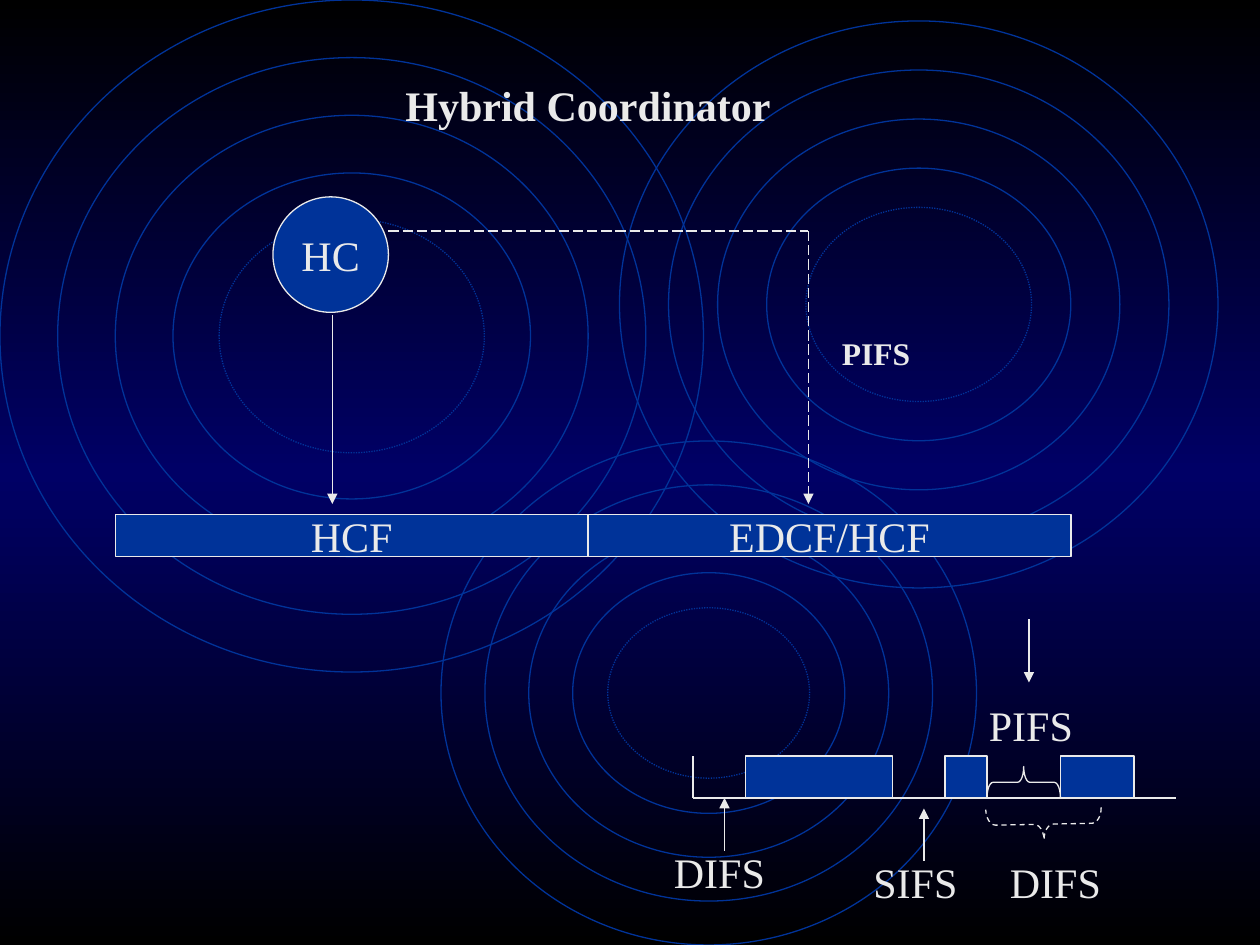
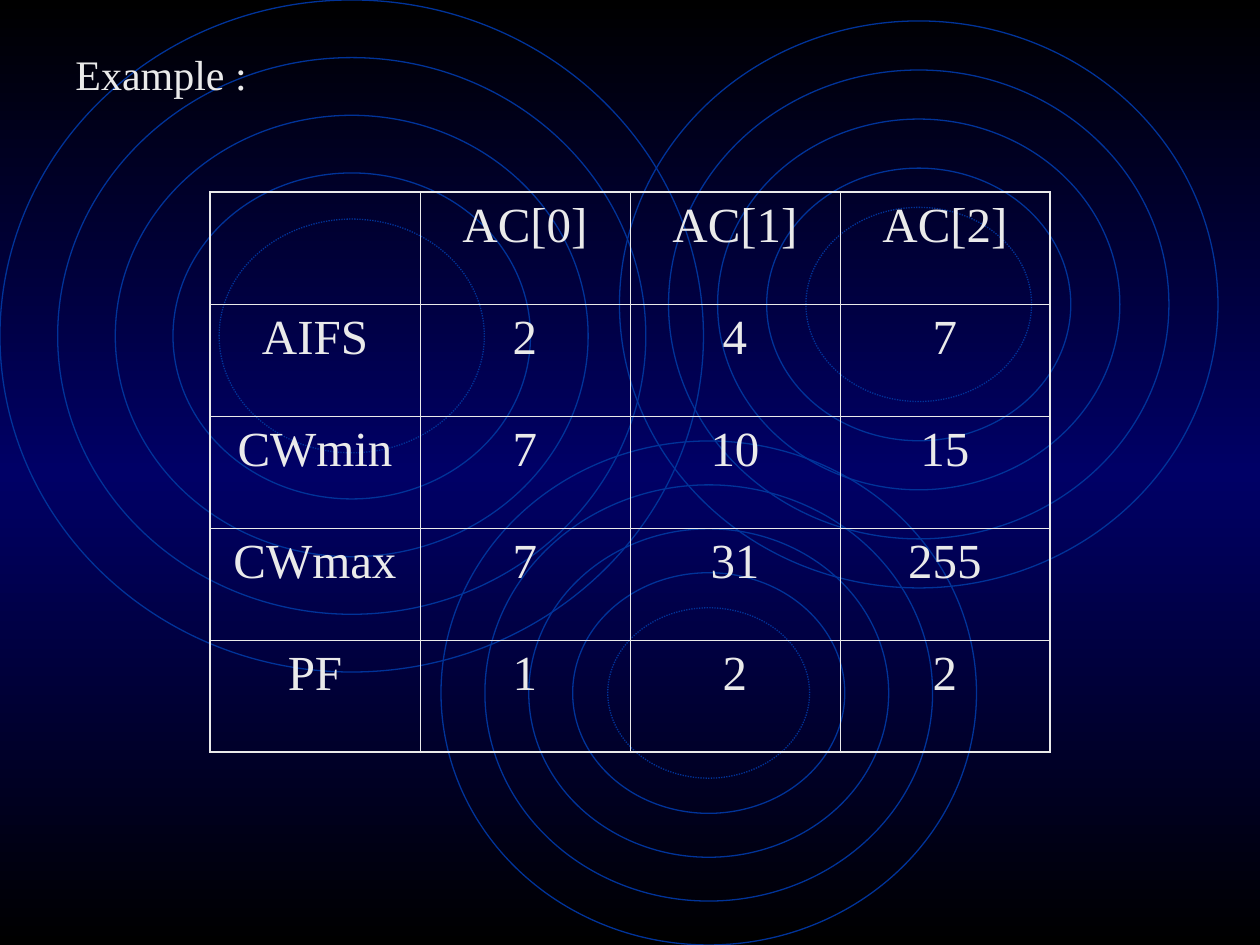
"""Build two slides on the hybrid coordinator: a timing sketch and a table of values."""
from copy import deepcopy

from pptx import Presentation
from pptx.dml.color import RGBColor
from pptx.enum.dml import MSO_LINE
from pptx.enum.shapes import MSO_CONNECTOR, MSO_SHAPE
from pptx.enum.text import MSO_ANCHOR, PP_ALIGN
from pptx.oxml.ns import qn
from pptx.util import Inches, Pt

RECT, OVAL, BRACE = MSO_SHAPE.RECTANGLE, MSO_SHAPE.OVAL, MSO_SHAPE.RIGHT_BRACE
DOT, DASH, LONG = MSO_LINE.ROUND_DOT, MSO_LINE.DASH, MSO_LINE.LONG_DASH
LEFT, MID = PP_ALIGN.LEFT, PP_ALIGN.CENTER
STRAIGHT, CENTRE = MSO_CONNECTOR.STRAIGHT, MSO_ANCHOR.MIDDLE

COLS, ROWS, CELL = 120, 90, 1 / 12
FONT = "Times New Roman"
HUES = {"ink": "EAEAEA", "blue": "003399", "edge": "000000", "glow": "000066"}
FADE = [(0, "edge"), (0.5, "glow"), (1, "edge")]

RIPPLES = [(0, 0, 67, 64), (42, 42, 51, 48), (59, 2, 57, 54)]
STEPS = [(0, None), (1, None), (2, None), (3, None), (3.8, DOT)]

BLOCKS = [
    (RECT, (11, 49, 45, 4), "HCF"),
    (RECT, (56, 49, 46, 4), "EDCF/HCF"),
    (OVAL, (26, 18.75, 11, 11), "HC"),
    (RECT, (71, 72, 14, 4), ""),
    (RECT, (90, 72, 4, 4), ""),
    (RECT, (101, 72, 7, 4), ""),
]
LINES = [
    ((31.65, 30), (31.65, 48), None, True),
    ((37, 22), (77, 22), LONG, False),
    ((77, 22), (77, 48), LONG, True),
    ((66, 76), (112, 76), None, False),
    ((66, 76), (66, 72), None, False),
    ((69, 81), (69, 76), None, True),
    ((88, 82), (88, 77), None, True),
    ((98, 59), (98, 65), None, True),
]
BRACES = [((97.9, 73, 3, 11), 88.9, DASH), ((96, 71, 3, 7), 270, None)]
LABELS = [
    ("Hybrid Coordinator", (6, 7, 100, 6), 24, True, MID),
    ("PIFS", (79, 31.2, 14, 4.8), 18, True, LEFT),
    ("DIFS", (63, 80, 14, 6), 24, False, LEFT),
    ("SIFS", (82, 81, 14, 6), 24, False, LEFT),
    ("DIFS", (95, 81, 14, 6), 24, False, LEFT),
    ("PIFS", (93, 66, 13, 6), 24, False, LEFT),
]
EXAMPLE = ("Example :", (6, 4, 33, 6), 24, False, LEFT)
GRID = (20, 18.3, 80, 53.35)
VALUES = [
    ["", "AC[0]", "AC[1]", "AC[2]"],
    ["AIFS", "2", "4", "7"],
    ["CWmin", "7", "10", "15"],
    ["CWmax", "7", "31", "255"],
    ["PF", "1", "2", "2"],
]


def hue(name):
    return RGBColor.from_string(HUES[name])


def span(*units):
    return [Inches(unit * CELL) for unit in units]


def stroke(line, name, dash=None):
    line.color.rgb = hue(name)
    line.width = Pt(0.75)
    if dash is not None:
        line.dash_style = dash


def write(frame, text, size, bold=False, align=MID):
    para = frame.paragraphs[0]
    para.text, para.alignment = text, align
    font = para.font
    font.name, font.size, font.bold = FONT, Pt(size), bold
    font.color.rgb = hue("ink")


def draw(slide, kind, box, edge="ink", dash=None, fill=None):
    shape = slide.shapes.add_shape(kind, *span(*box))
    shape.shadow.inherit = False
    if fill:
        shape.fill.solid()
        shape.fill.fore_color.rgb = hue(fill)
    else:
        shape.fill.background()
    stroke(shape.line, edge, dash)
    return shape


def link(slide, start, end, dash, arrow):
    wire = slide.shapes.add_connector(STRAIGHT, *span(*start, *end))
    stroke(wire.line, "ink", dash)
    props = wire._element.spPr
    if arrow:
        tip = props.find(qn("a:ln"))
        tip.append(tip.makeelement(qn("a:tailEnd"), {"type": "triangle"}))
    props.append(props.makeelement(qn("a:effectLst"), {}))


def label(slide, text, box, size, bold, align):
    frame = slide.shapes.add_textbox(*span(*box)).text_frame
    frame.word_wrap = True
    write(frame, text, size, bold, align)


def dress(master, slide):
    fill = master.background.fill
    fill.gradient()
    fill.gradient_angle = 270
    stops = master._element.find(".//" + qn("a:gsLst"))
    stops.append(deepcopy(stops[0]))
    for stop, (place, name) in zip(fill.gradient_stops, FADE):
        stop.position, stop.color.rgb = place, hue(name)
    tree = master.shapes._spTree
    for left, top, wide, high in RIPPLES:
        for step, dash in STEPS:
            gap = step * wide / 12.2
            box = (left + gap, top + gap, wide - 2 * gap, high - 2 * gap)
            ring = draw(slide, OVAL, box, "blue", dash)
            count = len(tree) + 10
            ring.name = f"Ring {count}"
            ring._element.nvSpPr.cNvPr.set("id", str(count))
            tree.append(ring._element)


def border(cell, sides):
    props = cell._tc.get_or_add_tcPr()
    for side, outer in sides.items():
        width = Pt(1.08 if outer else 0.45)
        line = props.makeelement(qn("a:ln" + side), {"w": str(width)})
        paint = line.makeelement(qn("a:solidFill"), {})
        paint.append(paint.makeelement(qn("a:srgbClr"), {"val": HUES["ink"]}))
        line.append(paint)
        props.append(line)


def chart_flow(slide):
    for kind, box, text in BLOCKS:
        block = draw(slide, kind, box, fill="blue")
        if text:
            frame = block.text_frame
            frame.word_wrap, frame.vertical_anchor = False, CENTRE
            write(frame, text, 24)
    for line in LINES:
        link(slide, *line)
    for box, turn, dash in BRACES:
        brace = draw(slide, BRACE, box, dash=dash)
        brace.rotation = turn
        brace.adjustments[0] = box[3] / 12 / box[2]
    for item in LABELS:
        label(slide, *item)


def fill_grid(slide):
    down, across = len(VALUES), len(VALUES[0])
    table = slide.shapes.add_table(down, across, *span(*GRID)).table
    table.first_row = table.horz_banding = False
    for r, row in enumerate(VALUES):
        for c, text in enumerate(row):
            cell = table.cell(r, c)
            border(cell, {"L": c == 0, "R": c == across - 1,
                          "T": r == 0, "B": r == down - 1})
            cell.fill.background()
            write(cell.text_frame, text, 28)


def main():
    deck = Presentation()
    deck.slide_width, deck.slide_height = span(COLS, ROWS)
    blank = deck.slide_layouts[6]
    flow, sample = [deck.slides.add_slide(blank) for _ in range(2)]
    dress(deck.slide_master, flow)
    chart_flow(flow)
    fill_grid(sample)
    label(sample, *EXAMPLE)
    deck.save("out.pptx")


if __name__ == "__main__":
    main()
